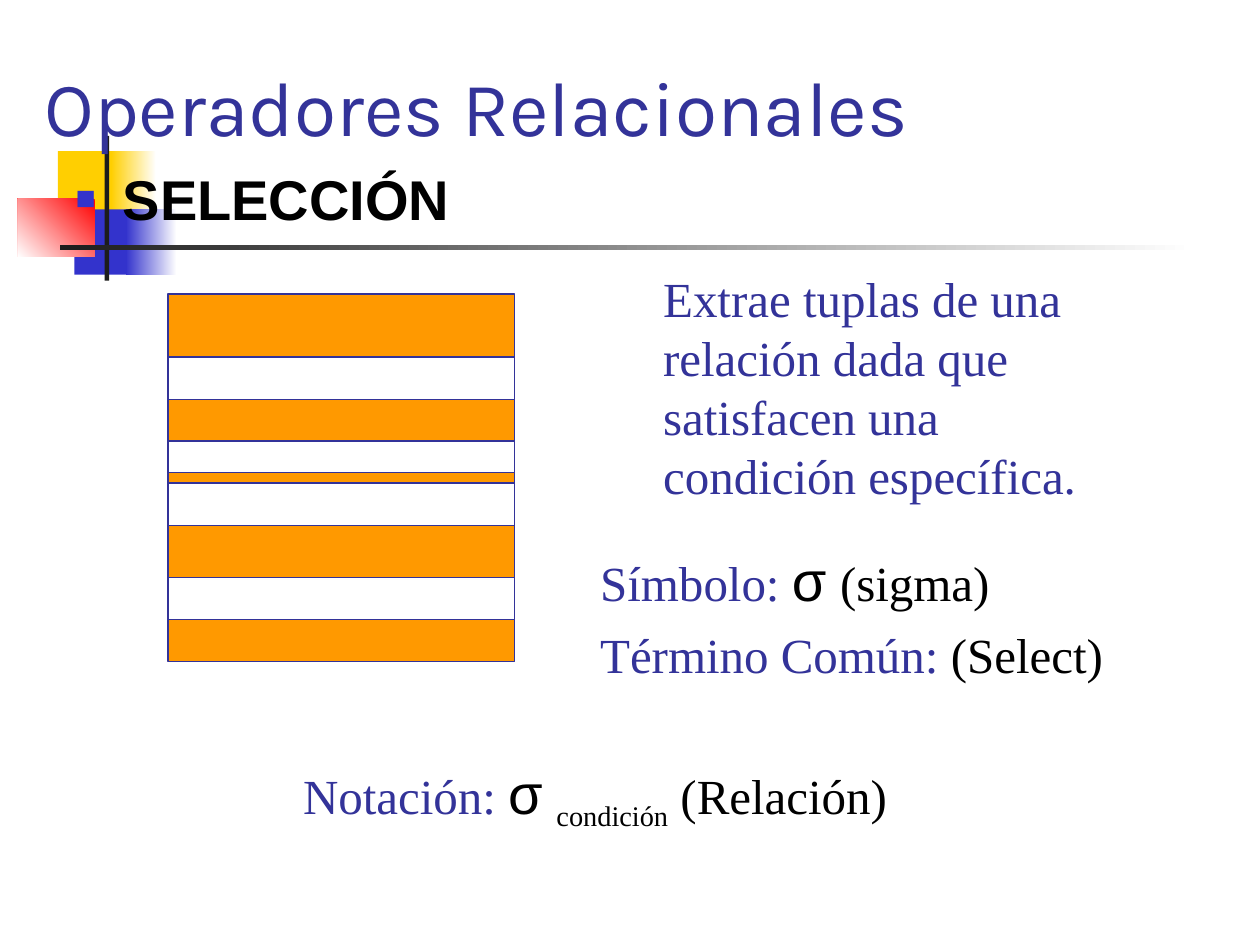
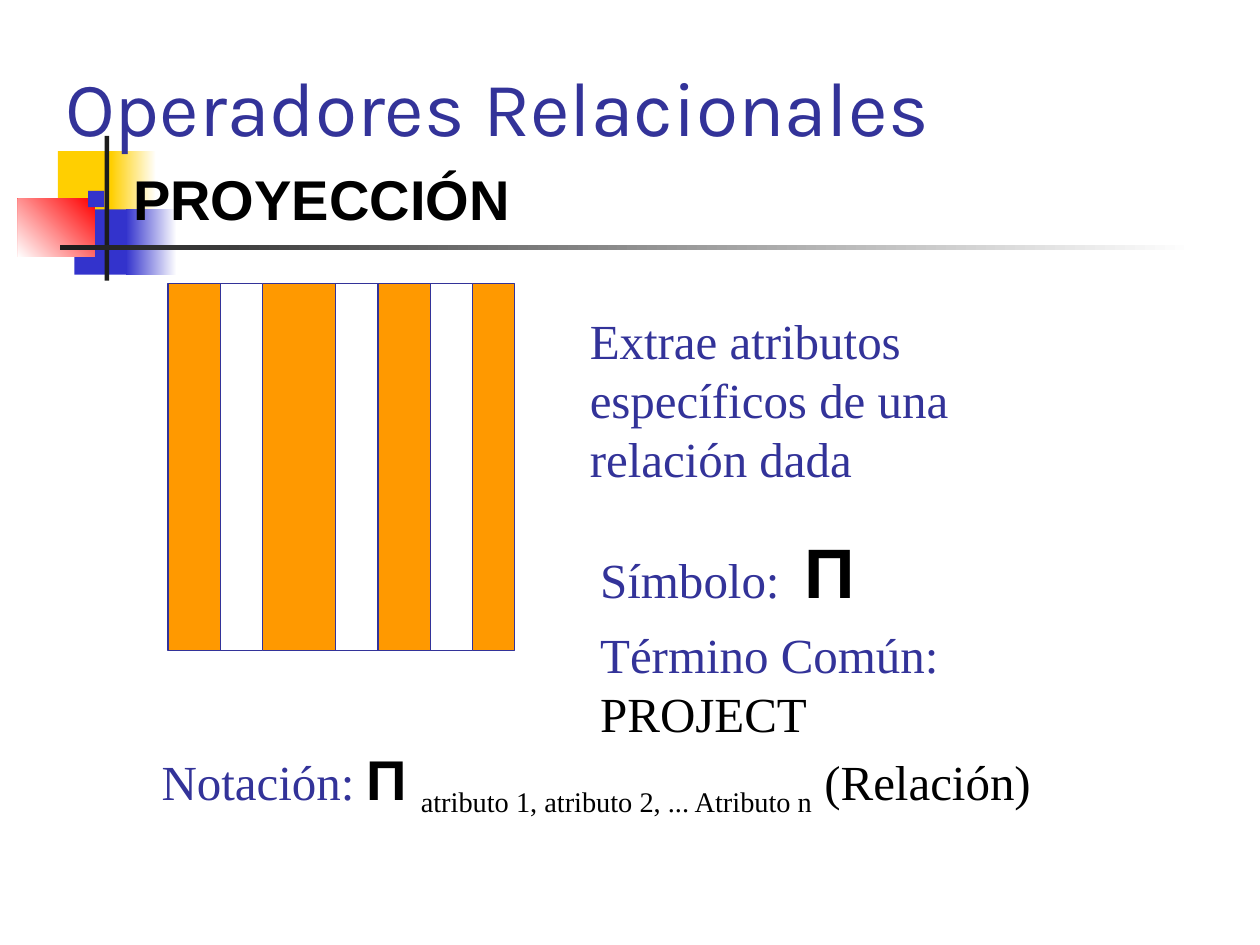
from lxml import etree
from pptx import Presentation
from pptx.dml.color import RGBColor
from pptx.enum import shapes, text
from pptx.oxml import ns
from pptx.util import Cm, Pt

NAVY, BLUE, GOLD, RED = "333399", "3333CC", "FFCF01", "FF0000"
ORANGE, WHITE, DARK, BLACK = "FF9900", "FFFFFF", "1C1C1C", "000000"
SERIF, SANS = "Times New Roman", "Arial"

# Run styles: size, font, colour, bold, baseline
HEAD = (44, "Karla", NAVY, False, 0)
TOPIC = (32, SANS, BLACK, True, 0)
LABEL = (28, SERIF, NAVY, False, 0)
PLAIN = (28, SERIF, BLACK, False, 0)
GAP = (28, SANS, BLACK, False, 0)
SUB = (28, SERIF, BLACK, False, -25000)
SIGMA = (32, SANS, BLACK, False, 0)
BIG_PI = (40, SANS, BLACK, True, 0)


def draw(tree, at, fill, end=None, angle=0, line=None):
    """Add a rectangle with a plain fill, or a gradient from fill to end."""
    rect = tree.add_shape(shapes.MSO_SHAPE.RECTANGLE, *map(Cm, at))
    rect.shadow.inherit = False
    if end:
        rect.fill.gradient()
        rect.fill.gradient_angle = angle
        for stop, tone in zip(rect.fill.gradient_stops, (fill, end)):
            stop.color.rgb = RGBColor.from_string(tone)
    else:
        rect.fill.solid()
        rect.fill.fore_color.rgb = RGBColor.from_string(fill)
    if line:
        rect.line.color.rgb = RGBColor.from_string(line)
        rect.line.width = Pt(0.75)
    else:
        rect.line.fill.background()
    return rect


def write(shape, at, paras, wrap=True, grow=True, anchor="TOP", align="LEFT"):
    """Place a text shape and fill it, run by run."""
    shape.left, shape.top, shape.width, shape.height = map(Cm, at)
    frame = shape.text_frame
    frame.word_wrap = wrap
    fit = text.MSO_AUTO_SIZE
    frame.auto_size = fit.SHAPE_TO_FIT_TEXT if grow else fit.NONE
    frame.vertical_anchor = text.MSO_ANCHOR[anchor]
    for num, runs in enumerate(paras):
        para = frame.add_paragraph() if num else frame.paragraphs[0]
        para.alignment = text.PP_ALIGN[align]
        para.space_before = Pt(7 if num else 0)
        for words, (size, face, tone, bold, base) in runs:
            run = para.add_run()
            run.text = words
            run.font.size, run.font.name, run.font.bold = Pt(size), face, bold
            run.font.color.rgb = RGBColor.from_string(tone)
            if base:
                run._r.get_or_add_rPr().set("baseline", str(base))


DECOR = [
    ((1.17, 3.05, 1.22, 1.32), GOLD),
    ((2.24, 3.05, 0.91, 1.32), WHITE, GOLD, 180),
    ((1.5, 4.22, 1.17, 1.32), BLUE),
    ((2.54, 4.22, 1.02, 1.32), WHITE, BLUE, 180),
    ((0.36, 4.01, 1.55, 1.17), RED, WHITE, 225),
    ((2.11, 2.74, 0.09, 2.92), DARK),
    ((1.22, 4.94, 22.86, 0.1), WHITE, DARK, 180),
]

SLIDES = [
    dict(
        topic="SELECCIÓN",
        title=(0.64, 0, 21.59, 3.18),
        body=(1.27, 3.18, 19.9, 11.43),
        block=(3.39, 5.93, 6.98, 7.41),
        bands=[(3.39, top, 6.98, tall) for top, tall in
               ((7.2, 0.85), (8.89, 0.64), (9.74, 0.85), (11.64, 0.85))],
        about=((13.12, 5.29, 9.58, 5),
               "Extrae tuplas de una relación dada que satisfacen una "
               "condición específica."),
        facts=((11.85, 10.87, 10.64, 3.05),
               [[("Símbolo: ", LABEL), ("σ", SIGMA), (" ", GAP),
                 ("(sigma)", PLAIN)],
                [("Término Común:", LABEL), (" (Select)", PLAIN)]]),
        form=((5.66, 15.16, 12.67, 1.75), ("σ", SIGMA), "condición"),
    ),
    dict(
        topic="PROYECCIÓN",
        title=(1.06, 0, 21.59, 3.18),
        body=(1.48, 3.18, 21.59, 11.43),
        block=(3.39, 5.71, 6.98, 7.41),
        bands=[(left, 5.71, 0.85, 7.41) for left in (4.45, 6.77, 8.68)],
        about=((11.64, 6.14, 9.74, 3.81),
               "Extrae atributos específicos de una relación dada"),
        facts=((11.85, 10.52, 11.73, 3.38),
               [[("Símbolo:  ", LABEL), ("Π", BIG_PI)],
                [("Término Común:", LABEL), (" PROJECT", PLAIN)]]),
        form=((2.84, 14.88, 18.36, 1.75), ("Π", TOPIC),
              "atributo 1, atributo 2, ... Atributo n"),
    ),
]

prs = Presentation()
prs.slide_width, prs.slide_height = Cm(25.4), Cm(19.05)
master = prs.slide_master.shapes.element

for num, data in enumerate(SLIDES):
    slide = prs.slides.add_slide(prs.slide_layouts[1])
    tree = slide.shapes

    # The corner squares and rules move to the master, behind its placeholders
    if num == 0:
        for spot, item in enumerate(DECOR):
            master.insert(2 + spot, draw(tree, *item).element)

    draw(tree, data["block"], ORANGE, line=NAVY)
    group = tree.add_group_shape()
    for band in data["bands"]:
        draw(group.shapes, band, WHITE, line=NAVY)

    write(tree.title, data["title"], [[("Operadores Relacionales", HEAD)]],
          grow=False, anchor="BOTTOM")

    body = slide.placeholders[1]
    write(body, data["body"], [[(data["topic"], TOPIC)]], grow=False)
    props = body.text_frame.paragraphs[0]._p.get_or_add_pPr()
    props.set("marL", str(Cm(0.95)))
    props.set("indent", str(Cm(-0.95)))
    color = etree.SubElement(props, ns.qn("a:buClr"))
    etree.SubElement(color, ns.qn("a:srgbClr"), val=BLUE)
    etree.SubElement(props, ns.qn("a:buSzPct"), val="60000")
    etree.SubElement(props, ns.qn("a:buFont"), typeface=SANS)
    etree.SubElement(props, ns.qn("a:buChar"), char="■")

    at, words = data["about"]
    write(tree.add_textbox(0, 0, 0, 0), at, [[(words, LABEL)]])
    at, paras = data["facts"]
    write(tree.add_textbox(0, 0, 0, 0), at, paras, wrap=False)
    at, sign, index = data["form"]
    runs = [("Notación: ", LABEL), sign, (" ", GAP), (index, SUB),
            (" (Relación)", PLAIN)]
    write(tree.add_textbox(0, 0, 0, 0), at, [runs], wrap=False,
          anchor="MIDDLE", align="CENTER")

prs.save("out.pptx")
